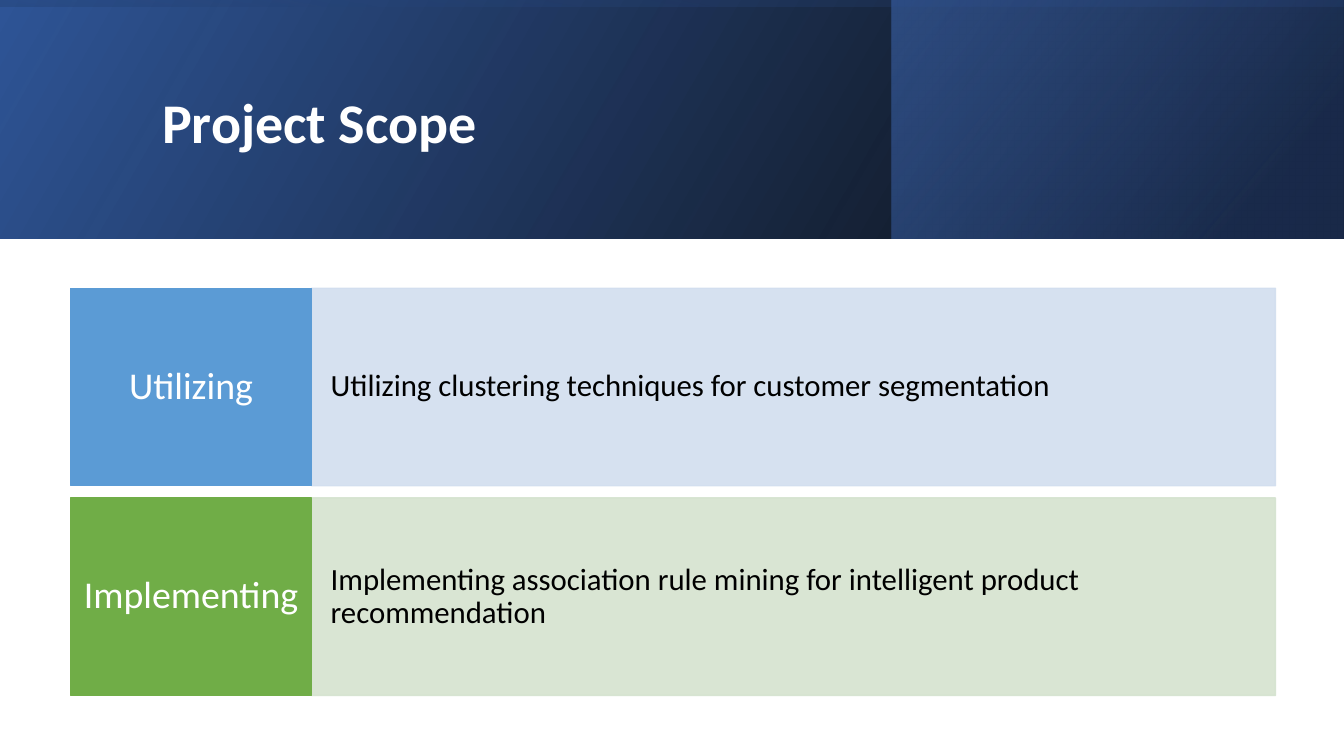
"""Build the Project Scope slide: gradient banner, title and two labelled rows."""
import pptx
import pptx.dml.color
import pptx.enum.shapes
import pptx.enum.text
import pptx.oxml.ns
import pptx.util
from pptx.util import Inches
from lxml import etree

TITLE = "Project Scope"
ROWS = [
    ("Utilizing", "Utilizing clustering techniques for customer segmentation",
     "5B9BD5", "D2DEEF"),
    ("Implementing",
     "Implementing association rule mining for intelligent product recommendation",
     "70AD47", "D5E3CF"),
]
WIDE, HIGH, BAND = 13.33, 7.5, 2.37
BANDS = [
    ((0, 0, WIDE, BAND), 0, 330, [(0, "000000", 96), (100, "2F5597", 100)]),
    ((8.84, 0, 4.48, BAND), 0, 320, [(19, "203864", 68), (100, "4472C4", 48)]),
    (((WIDE - BAND) / 2, (BAND - WIDE) / 2, BAND, WIDE), 270, 350,
     [(23, "2F5597", 16), (99, "000000", 45)]),
]
LEFT, TOP, STEP, TALL = 0.7, 2.86, 2.08, 1.96
LABEL, BODY = 2.39, 9.56
MID = pptx.enum.text.PP_ALIGN.CENTER
START = pptx.enum.text.PP_ALIGN.LEFT


def tint(code):
    return pptx.dml.color.RGBColor.from_string(code)


def fade(shape, rates):
    tag = pptx.oxml.ns.qn("a:srgbClr")
    for node, rate in zip(list(shape._element.spPr.iter(tag)), rates):
        alpha = etree.SubElement(node, pptx.oxml.ns.qn("a:alpha"))
        alpha.set("val", str(rate * 1000))


def block(slide, box):
    kind = pptx.enum.shapes.MSO_SHAPE.RECTANGLE
    shape = slide.shapes.add_shape(kind, *map(Inches, box))
    shape.shadow.inherit = False
    return shape


def band(slide, box, turn, angle, stops):
    shape = block(slide, box)
    shape.rotation = turn
    shape._element.spPr.xfrm.set("flipH", "1")
    shape.line.fill.background()
    shape.fill.gradient()
    shape.fill.gradient_angle = 360 - angle
    for stop, (place, code, _) in zip(shape.fill.gradient_stops, stops):
        stop.position = place / 100
        stop.color.rgb = tint(code)
    fade(shape, [rate for _, _, rate in stops])


def write(shape, text, size, code, align, side, bold=False):
    frame = shape.text_frame
    frame.word_wrap = True
    frame.vertical_anchor = pptx.enum.text.MSO_ANCHOR.MIDDLE
    frame.margin_left = frame.margin_right = Inches(side)
    para = frame.paragraphs[0]
    para.text = text
    para.alignment = align
    para.line_spacing = 0.9
    font = para.font
    font.name, font.size, font.bold = "Calibri", pptx.util.Pt(size), bold
    font.color.rgb = tint(code)


def card(slide, box, code, rate):
    shape = block(slide, box)
    shape.fill.solid()
    shape.fill.fore_color.rgb = tint(code)
    shape.line.color.rgb = tint(code)
    shape.line.width = pptx.util.Pt(1)
    fade(shape, [rate, rate])
    return shape


def main():
    deck = pptx.Presentation()
    deck.slide_width, deck.slide_height = Inches(WIDE), Inches(HIGH)
    slide = deck.slides.add_slide(deck.slide_layouts[6])
    for part in BANDS:
        band(slide, *part)
    title = slide.shapes.add_textbox(*map(Inches, (1.51, 0.38, 10.63, 1.72)))
    write(title, TITLE, 40, "FFFFFF", START, 0.1, True)
    for row, (name, text, dark, pale) in enumerate(ROWS):
        top = TOP + row * STEP
        body = card(slide, (LEFT + LABEL, top, BODY, TALL), pale, 90)
        write(body, text, 22, "000000", START, 0.19)
        label = card(slide, (LEFT, top, LABEL, TALL), dark, 100)
        write(label, name, 27, "FFFFFF", MID, 0.12)
    deck.save("out.pptx")


if __name__ == "__main__":
    main()
